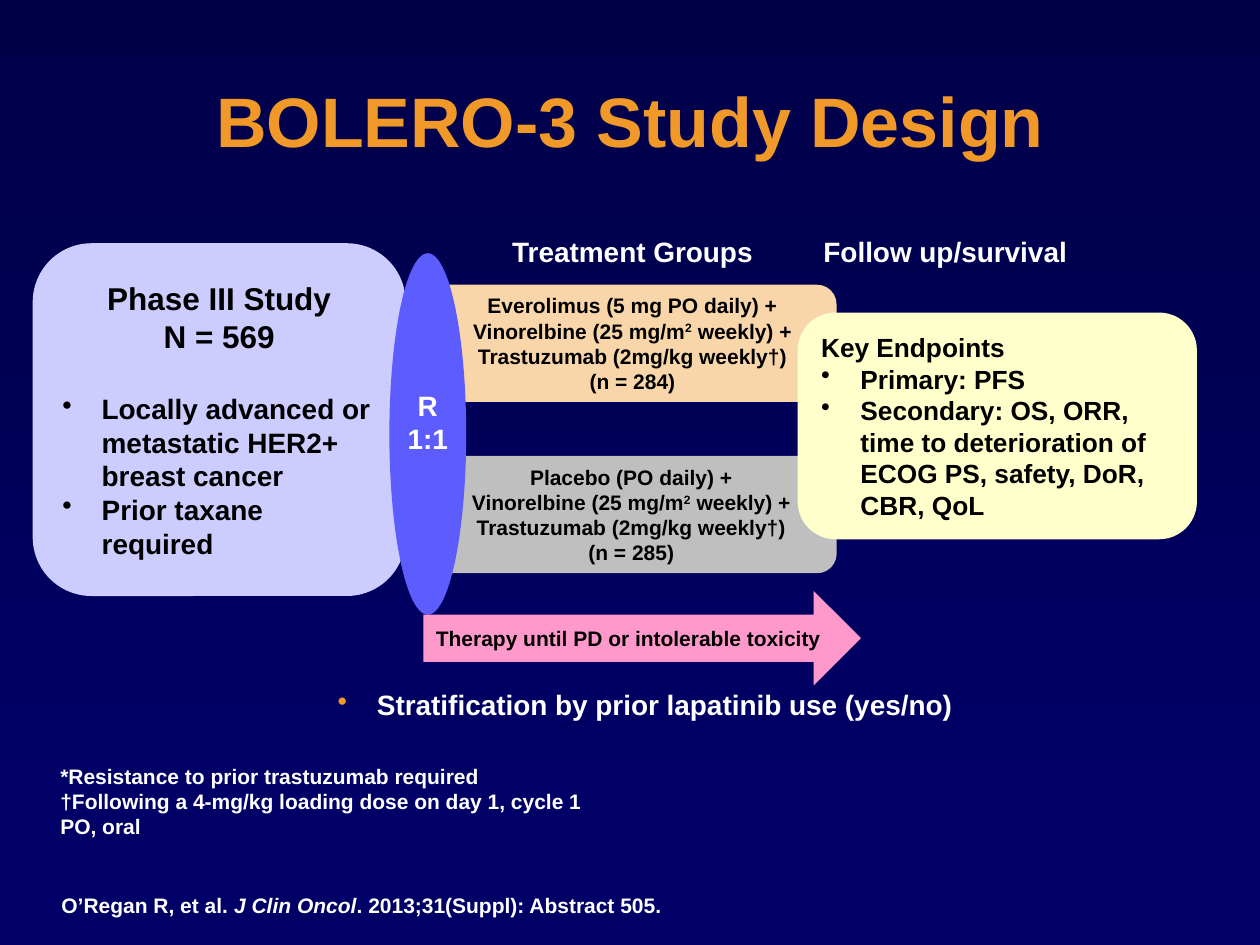
from lxml.etree import SubElement
from pptx import Presentation
from pptx.dml.color import RGBColor
from pptx.enum.shapes import MSO_SHAPE as Shape
from pptx.enum.text import MSO_ANCHOR as Anchor, MSO_AUTO_SIZE as AutoSize, PP_ALIGN as Align
from pptx.oxml import parse_xml
from pptx.oxml.ns import nsdecls, qn
from pptx.util import Pt

COLORS = {
    "sky": "000049", "navy": "000066", "orange": "F09828", "white": "FFFFFF",
    "black": "000000", "lavender": "CCCCFF", "violet": "5C5CFF", "peach": "F9D6A9",
    "gray": "BFBFBF", "cream": "FFFFCC", "pink": "FF99CC",
}
BULLET_INDENT = 22.5


def rgb(name):
    return RGBColor.from_string(COLORS[name])


def add_bullet(paragraph, color=None):
    props = paragraph._p.get_or_add_pPr()
    props.set("marL", str(Pt(BULLET_INDENT)))
    props.set("indent", str(-Pt(BULLET_INDENT)))
    if color:
        holder = SubElement(props, qn("a:buClr"))
        SubElement(holder, qn("a:srgbClr")).set("val", COLORS[color])
    SubElement(props, qn("a:buChar")).set("char", "•")


def write(paragraph, content, size=12, color="black", align=Align.LEFT,
          bullet=False, bullet_color=None, before=0):
    """Fill a paragraph from a string or a list of (text, style) parts."""
    if bullet:
        add_bullet(paragraph, bullet_color)
    paragraph.alignment = align
    if before:
        paragraph.space_before = Pt(before)
    parts = [(content, "")] if isinstance(content, str) else content
    for text, style in parts:
        run = paragraph.add_run()
        run.text = text
        run.font.name = "Arial"
        run.font.size = Pt(size)
        run.font.bold = True
        run.font.color.rgb = rgb(color)
        if style == "italic":
            run.font.italic = True
        elif style == "super":
            run._r.get_or_add_rPr().set("baseline", "30000")


def write_lines(frame, lines, **shared):
    """Each line is its content, or a (content, own format) pair."""
    for index, line in enumerate(lines):
        content, own = line if isinstance(line, tuple) else (line, {})
        paragraph = frame.add_paragraph() if index else frame.paragraphs[0]
        write(paragraph, content, **{**shared, **own})


def add_panel(slide, kind, box, fill, lines=(), **text_format):
    panel = slide.shapes.add_shape(kind, *map(Pt, box))
    panel.shadow.inherit = False
    panel.fill.solid()
    panel.fill.fore_color.rgb = rgb(fill)
    panel.line.fill.background()
    panel.text_frame.vertical_anchor = Anchor.MIDDLE
    write_lines(panel.text_frame, lines, **text_format)


def add_label(slide, box, lines, wrap=True, **text_format):
    frame = slide.shapes.add_textbox(*map(Pt, box)).text_frame
    frame.word_wrap = wrap
    frame.auto_size = AutoSize.SHAPE_TO_FIT_TEXT
    write_lines(frame, lines, **text_format)


def add_arm(slide, box, fill, drug, count):
    lines = [
        f"{drug} +",
        [("Vinorelbine (25 mg/m", ""), ("2", "super"), (" weekly) +", "")],
        "Trastuzumab (2mg/kg weekly†)",
        f"(n = {count})",
    ]
    add_panel(slide, Shape.ROUNDED_RECTANGLE, box, fill, lines, align=Align.CENTER)


def set_background(slide):
    fill = slide.background.fill
    fill.gradient()
    fill.gradient_angle = 270
    for stop, color, position in zip(fill.gradient_stops, ("sky", "navy"), (0, 0.86)):
        stop.color.rgb = rgb(color)
        stop.position = position


def set_title(slide, text):
    title = slide.shapes.title
    title.left, title.top, title.width, title.height = map(Pt, (26.6, 26.6, 666.8, 90))
    frame = title.text_frame
    frame.vertical_anchor = Anchor.MIDDLE
    paragraph = frame.paragraphs[0]
    write(paragraph, text, size=40, color="orange", align=Align.CENTER)
    paragraph.line_spacing = 0.9
    shadow = parse_xml(
        f'<a:effectLst {nsdecls("a")}><a:outerShdw blurRad="38100" dist="38100" dir="2700000">'
        '<a:srgbClr val="000000"/></a:outerShdw></a:effectLst>')
    paragraph.runs[0]._r.rPr.find(qn("a:solidFill")).addnext(shadow)


def main():
    deck = Presentation()
    deck.slide_width, deck.slide_height = Pt(720), Pt(540)
    slide = deck.slides.add_slide(deck.slide_layouts[5])
    set_background(slide)
    set_title(slide, "BOLERO-3 Study Design")

    add_arm(slide, (244.8, 162.7, 233.3, 67), "peach", "Everolimus (5 mg PO daily)", 284)
    add_arm(slide, (243.4, 260.6, 234.7, 67), "gray", "Placebo (PO daily)", 285)

    add_label(slide, (28, 506.2, 361.4, 21.6), [
        [("O’Regan R, et al. ", ""), ("J Clin Oncol", "italic"),
         (". 2013;31(Suppl): Abstract 505.", "")],
    ], wrap=False, color="white")
    add_label(slide, (27.4, 432.7, 684, 51), [
        "*Resistance to prior trastuzumab required",
        "†Following a 4-mg/kg loading dose on day 1, cycle 1",
        "PO, oral",
    ], color="white")

    heading = {"size": 18, "align": Align.CENTER}
    add_panel(slide, Shape.ROUNDED_RECTANGLE, (18.7, 139, 213.1, 201.6), "lavender", [
        ("Phase III Study", heading),
        ("N = 569", heading),
        ("Locally advanced or metastatic HER2+ breast cancer", {"bullet": True, "before": 21}),
        ("Prior taxane required", {"bullet": True}),
    ], size=16)
    add_panel(slide, Shape.OVAL, (222.5, 144.7, 43.9, 206.6), "violet")
    add_panel(slide, Shape.ROUNDED_RECTANGLE, (455.8, 178.6, 228.2, 129.6), "cream", [
        "Key Endpoints",
        ("Primary: PFS", {"bullet": True}),
        ("Secondary: OS, ORR, time to deterioration of ECOG PS, safety, DoR, CBR, QoL",
         {"bullet": True}),
    ], size=15)

    add_label(slide, (244.8, 130.3, 233.3, 26.6), ["Treatment Groups"],
              size=16, color="white", align=Align.CENTER)
    add_label(slide, (463.5, 130.3, 197.3, 26.6), ["Follow up/survival"],
              size=16, color="white")
    add_label(slide, (185.8, 389.5, 370.8, 26.6),
              ["Stratification by prior lapatinib use (yes/no)"], wrap=False,
              size=16, color="white", bullet=True, bullet_color="orange")

    add_panel(slide, Shape.RIGHT_ARROW, (242, 337.7, 250, 54), "pink")
    add_label(slide, (242, 354.2, 236.9, 21.6),
              ["Therapy until PD or intolerable toxicity"], wrap=False)
    add_label(slide, (222.5, 218.2, 43.9, 46), ["R", "1:1"],
              size=16, color="white", align=Align.CENTER)

    deck.save("out.pptx")


if __name__ == "__main__":
    main()
